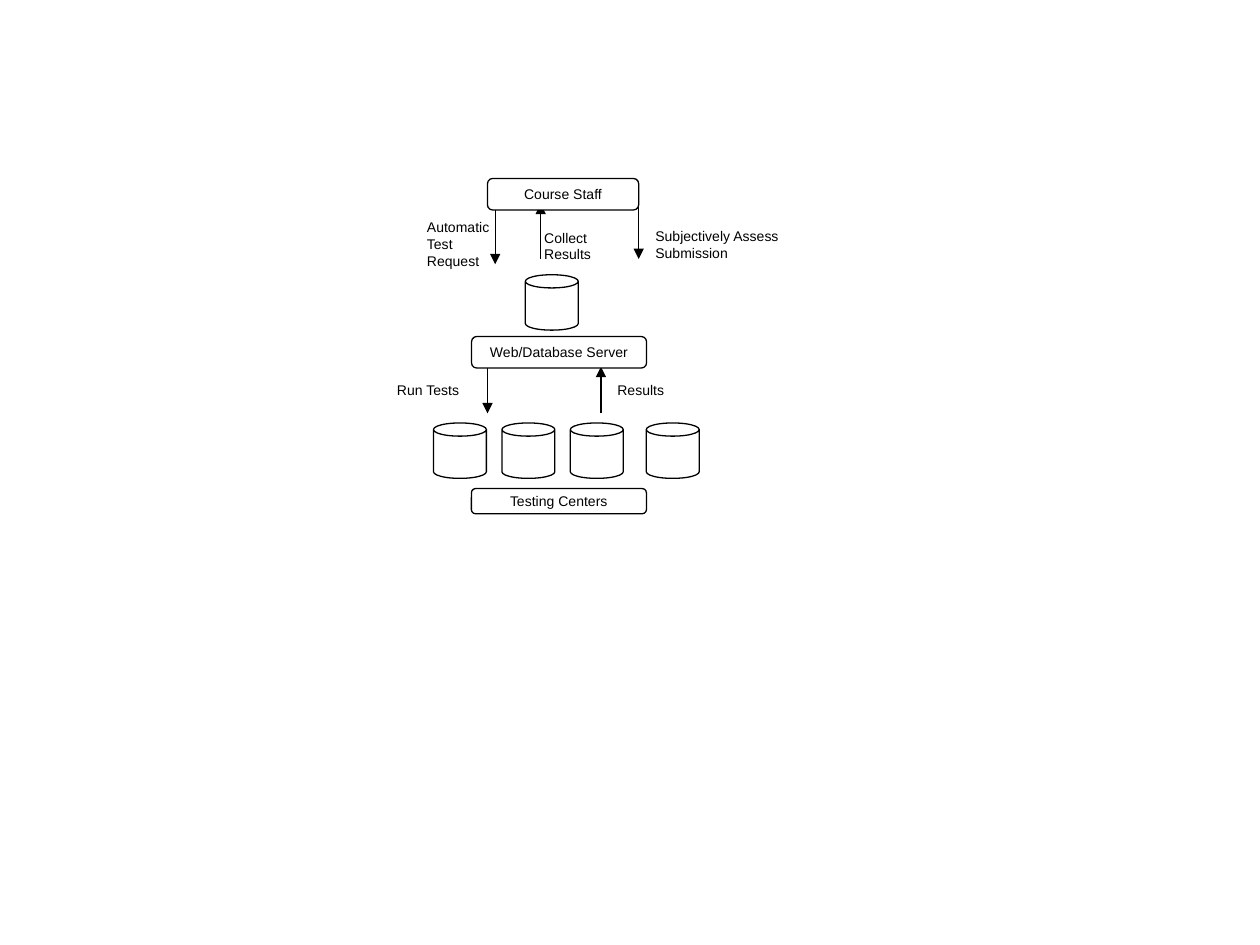
import pptx
import pptx.dml.color
import pptx.enum.shapes
import pptx.enum.text
import pptx.oxml
import pptx.oxml.ns
import pptx.util
from pptx.util import Pt

SHAPES = pptx.enum.shapes.MSO_SHAPE
INK, PAPER = "000000", "FFFFFF"
LINE_WIDTH = 0.75
CAN_WIDTH, CAN_HEIGHT = 30.25, 31.7


def color(hex_value):
    return pptx.dml.color.RGBColor.from_string(hex_value)


def write(shape, lines, align, anchor):
    frame = shape.text_frame
    frame.word_wrap = True
    frame.vertical_anchor = anchor
    frame.margin_left = frame.margin_right = Pt(5)
    frame.margin_top = frame.margin_bottom = Pt(2.9)
    frame.text = "\n".join(lines)
    for paragraph in frame.paragraphs:
        paragraph.alignment = align
        paragraph.font.name = "Arial"
        paragraph.font.size = Pt(8)
        paragraph.font.color.rgb = color(INK)


def add_label(slide, left, top, width, height, *lines):
    label = slide.shapes.add_textbox(Pt(left), Pt(top), Pt(width), Pt(height))
    write(label, lines, pptx.enum.text.PP_ALIGN.LEFT, pptx.enum.text.MSO_ANCHOR.TOP)


def add_outlined(slide, preset, left, top, width, height):
    shape = slide.shapes.add_shape(preset, Pt(left), Pt(top), Pt(width), Pt(height))
    shape.shadow.inherit = False
    shape.fill.solid()
    shape.fill.fore_color.rgb = color(PAPER)
    shape.line.color.rgb = color(INK)
    shape.line.width = Pt(LINE_WIDTH)
    return shape


def add_can(slide, left, top):
    add_outlined(slide, SHAPES.CAN, left, top, CAN_WIDTH, CAN_HEIGHT)


def add_role_box(slide, left, top, width, height, name):
    box = add_outlined(slide, SHAPES.ROUNDED_RECTANGLE, left, top, width, height)
    write(box, [name], pptx.enum.text.PP_ALIGN.CENTER, pptx.enum.text.MSO_ANCHOR.MIDDLE)


def add_arrow(slide, x, start, end):
    """Draw a vertical arrow with its head at end."""
    arrow = slide.shapes.add_connector(
        pptx.enum.shapes.MSO_CONNECTOR.STRAIGHT, Pt(x), Pt(start), Pt(x), Pt(end))
    arrow.line.color.rgb = color(INK)
    arrow.line.width = Pt(LINE_WIDTH)
    head = pptx.oxml.parse_xml(
        f'<a:tailEnd {pptx.oxml.ns.nsdecls("a")} type="triangle"/>')
    arrow.line._get_or_add_ln().append(head)
    effects = pptx.oxml.parse_xml(f'<a:effectLst {pptx.oxml.ns.nsdecls("a")}/>')
    arrow._element.spPr.append(effects)


def add_staff_region(slide, left, top):
    arrow_top, arrow_bottom = top + 14.4, top + 46
    add_arrow(slide, left + 44, arrow_top, arrow_bottom + 3)
    add_label(slide, left, top + 20.2, 54.7, 31.7, "Automatic Test Request")
    add_arrow(slide, left + 70, arrow_bottom, arrow_top)
    add_label(slide, left + 67, top + 26, 61.2, 20.9, "Collect Results")
    add_arrow(slide, left + 126, arrow_top, arrow_bottom)
    add_label(slide, left + 130.5, top + 25.2, 86.4, 15.1,
              "Subjectively Assess", "Submission")
    add_role_box(slide, left + 39.6, top, 86.4, 18, "Course Staff")


def add_server_region(slide, left, top):
    add_can(slide, left + 78.4, top)
    arrow_top, arrow_bottom = top + 52.6, top + 79.2
    add_arrow(slide, left + 56.8, arrow_top, arrow_bottom)
    add_label(slide, left, top + 58.3, 56.2, 18.7, "Run Tests")
    add_arrow(slide, left + 121.6, arrow_bottom, arrow_top)
    add_label(slide, left + 126, top + 58.3, 64.8, 18.7, "Results")
    add_role_box(slide, left + 47.7, top + 35.3, 100, 18, "Web/Database Server")


def add_testing_region(slide, left, top):
    pitch, last_gap = 39.1, 4.3
    for center in range(4):
        extra = last_gap if center == 3 else 0
        add_can(slide, left + center * pitch + extra, top)
    add_role_box(slide, left + 21.7, top + 37.5, 100, 14.4, "Testing Centers")


def main():
    deck = pptx.Presentation()
    deck.slide_width, deck.slide_height = Pt(720), Pt(540)
    slide = deck.slides.add_slide(deck.slide_layouts[6])
    add_staff_region(slide, 239, 102)
    add_server_region(slide, 221.8, 157)
    add_testing_region(slide, 247.7, 241.7)
    deck.save("out.pptx")


if __name__ == "__main__":
    main()
